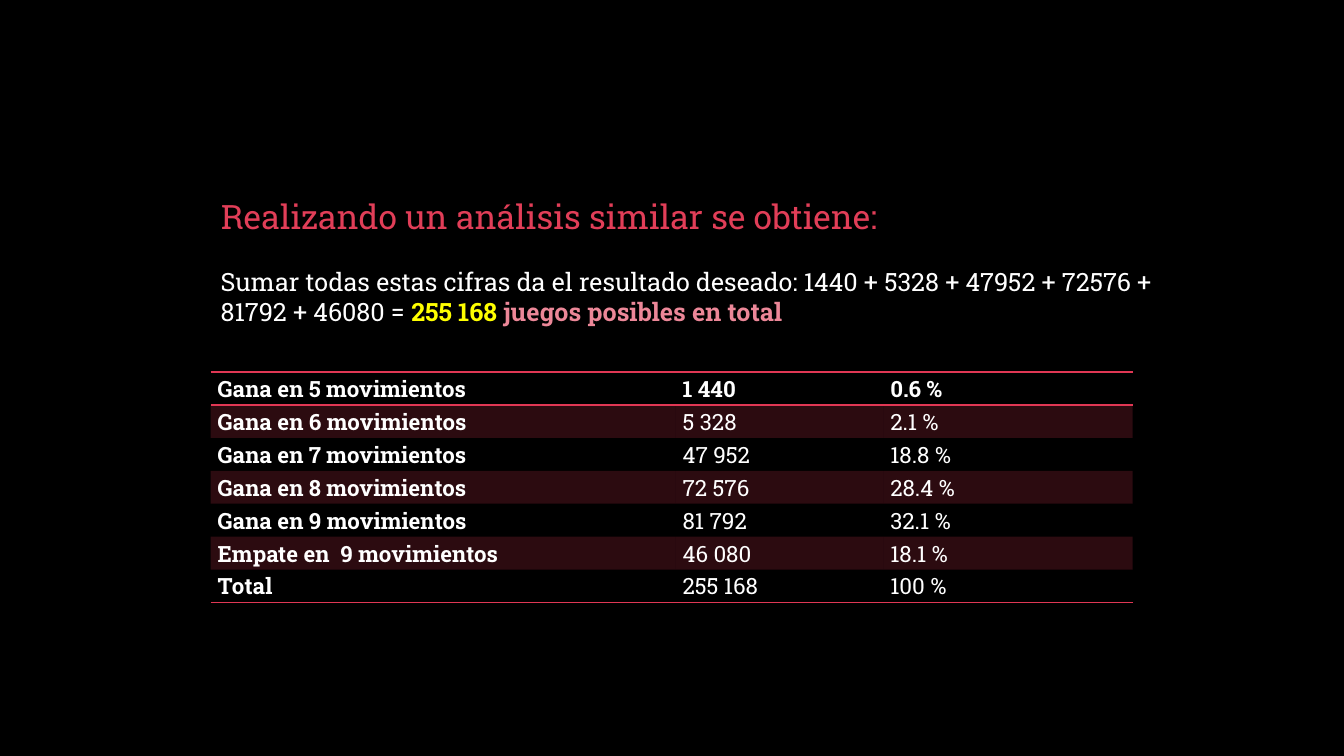
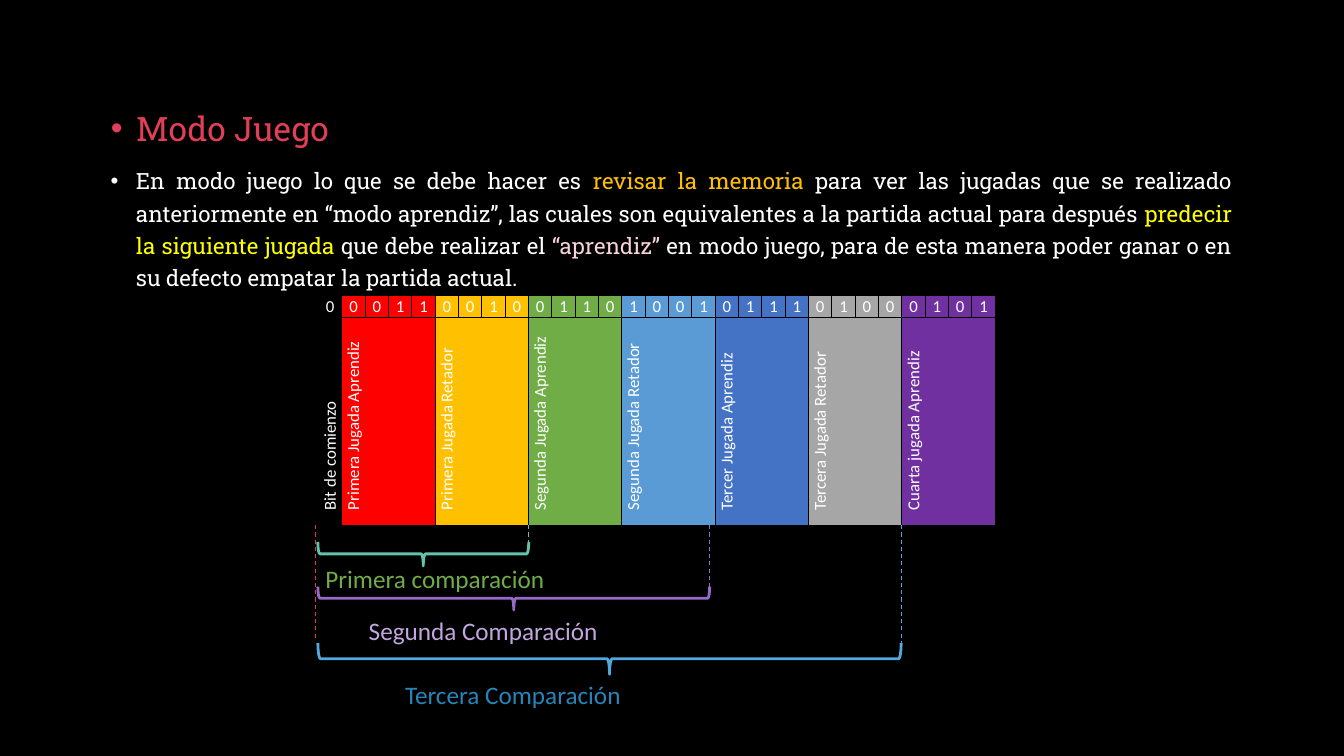
from dataclasses import dataclass

from lxml.etree import SubElement
from pptx import Presentation
from pptx.dml.color import RGBColor
from pptx.enum.dml import MSO_LINE
from pptx.enum.shapes import MSO_CONNECTOR, MSO_SHAPE
from pptx.enum.text import MSO_ANCHOR, MSO_AUTO_SIZE, PP_ALIGN
from pptx.oxml import parse_xml
from pptx.oxml.ns import nsdecls, qn
from pptx.util import Emu, Inches, Pt


@dataclass(frozen=True)
class Theme:
    background: str = "000000"
    text: str = "FFFFFF"
    title: str = "E13E58"
    accent: str = "E03754"
    pink: str = "EC8798"
    pale_pink: str = "F8D3D9"
    yellow: str = "FFFF00"
    amber: str = "FFC000"
    green: str = "70AD47"
    teal: str = "60C4AA"
    purple: str = "976AC9"
    lilac: str = "C1A6DF"
    sky: str = "51A9DB"
    blue: str = "2785BA"
    slab: str = "Roboto Slab"
    sans: str = "Calibri"
    title_size: int = 24
    large: int = 18
    medium: int = 16
    small: int = 12


theme = Theme()
NO_TABLE_STYLE = "{2D5ABB26-0587-4C30-8999-92F81FD0307C}"

presentation = Presentation()
presentation.slide_width = Inches(40 / 3)
presentation.slide_height = Inches(7.5)
background = presentation.slide_master.background.fill
background.solid()
background.fore_color.rgb = RGBColor.from_string(theme.background)


def place(left, top, width, height):
    """Turn percentages of the slide's width and height into lengths."""
    wide, high = presentation.slide_width / 100, presentation.slide_height / 100
    return [Emu(round(share * unit)) for share, unit in
            zip((left, top, width, height), (wide, high, wide, high))]


def add_runs(paragraph, runs, size, font):
    """Add (text, colour, bold) runs to a paragraph."""
    for text, color, bold in runs:
        run = paragraph.add_run()
        run.text = text
        run.font.name = font
        run.font.size = Pt(size)
        run.font.bold = bold
        run.font.color.rgb = RGBColor.from_string(color)


# Titles and body texts: title, title box, body box, body size, line spacing, bulleted, runs
pages = [
    ("Realizando un análisis similar se obtiene:",
     (15.68, 25.2, 71.33, 6.67), (15.68, 34.53, 71.33, 9.33), theme.large, 1.0, False,
     [("Sumar todas estas cifras da el resultado deseado: "
       "1440 + 5328 + 47952 + 72576 + 81792 + 46080 = ", theme.text, False),
      ("255 168 ", theme.yellow, True),
      ("juegos posibles en total", theme.pink, True)]),
    ("Modo Juego",
     (7.5, 12.53, 84.9, 8), (7.5, 20.8, 84.9, 18.67), theme.medium, 1.2, True,
     [("En modo juego lo que se debe hacer es ", theme.text, False),
      ("revisar la memoria ", theme.amber, False),
      ("para ver las jugadas que se realizado anteriormente en “modo aprendiz”, las cuales "
       "son equivalentes a la partida actual para después ", theme.text, False),
      ("predecir la siguiente jugada ", theme.yellow, False),
      ("que debe realizar el ", theme.text, False),
      ("“aprendiz” ", theme.pale_pink, False),
      ("en modo juego, para de esta manera poder ganar o en su defecto empatar "
       "la partida actual.", theme.text, False)]),
]
slides = []
for title, title_box, body_box, body_size, line_spacing, bulleted, body_runs in pages:
    slide = presentation.slides.add_slide(presentation.slide_layouts[5])
    slides.append(slide)
    heading = slide.shapes.title
    heading.left, heading.top, heading.width, heading.height = place(*title_box)
    body = slide.shapes.add_textbox(*place(*body_box))
    for shape, runs, size in ((heading, [(title, theme.title, False)], theme.title_size),
                              (body, body_runs, body_size)):
        frame = shape.text_frame
        frame.word_wrap = True
        frame.auto_size = MSO_AUTO_SIZE.NONE
        frame.vertical_anchor = MSO_ANCHOR.TOP
        paragraph = frame.paragraphs[0]
        justified = bulleted and shape is body
        paragraph.alignment = PP_ALIGN.JUSTIFY if justified else PP_ALIGN.LEFT
        paragraph.line_spacing = line_spacing
        paragraph.space_before = Pt(0)
        if bulleted:
            properties = paragraph._p.get_or_add_pPr()
            properties.set("marL", str(Inches(0.25)))
            properties.set("indent", str(-Inches(0.25)))
            SubElement(properties, qn("a:buFont")).set("typeface", "Arial")
            SubElement(properties, qn("a:buChar")).set("char", "•")
        add_runs(paragraph, runs, size, theme.slab)
results_slide, game_slide = slides

# Results by number of moves
results = [
    ("Gana en 5 movimientos", "1 440", "0.6 %"),
    ("Gana en 6 movimientos", "5 328", "2.1 %"),
    ("Gana en 7 movimientos", "47 952", "18.8 %"),
    ("Gana en 8 movimientos", "72 576", "28.4 %"),
    ("Gana en 9 movimientos", "81 792", "32.1 %"),
    ("Empate en  9 movimientos", "46 080", "18.1 %"),
    ("Total", "255 168", "100 %"),
]
results_frame = results_slide.shapes.add_table(
    len(results), 3, *place(15.68, 49.2, 64.05, 30.53))
results_table = results_frame.table
for column, share in zip(results_table.columns, (0.54, 0.2, 0.26)):
    column.width = round(results_frame.width * share)

# Cells of both tables: cell, text, bold, size, font, fill, opacity, border sides, border colour
cells = []
for row, record in enumerate(results):
    sides = {0: "TB", len(results) - 1: "B"}.get(row, "")
    for column, text in enumerate(record):
        cells.append((results_table.cell(row, column), text, row == 0 or column == 0,
                      theme.medium, theme.slab, theme.accent if row % 2 else None, 20,
                      sides, theme.accent))

# Memory word: one start bit, then four bits for each move
moves = [
    ("0011", "Primera Jugada Aprendiz", "FF0000"),
    ("0010", "Primera Jugada Retador", theme.amber),
    ("0110", "Segunda Jugada Aprendiz", theme.green),
    ("1001", "Segunda Jugada Retador", "5B9BD5"),
    ("0111", "Tercer Jugada Aprendiz", "4472C4"),
    ("0100", "Tercera Jugada Retador", "A6A6A6"),
    ("0101", "Cuarta jugada Aprendiz", "7030A0"),
]
fields = [("0", "Bit de comienzo", None)] + moves
bit_count = sum(len(bits) for bits, _, _ in fields)
memory_left, memory_top, memory_width = 23.7, 39.07, 50.4
bit_height, label_height = 2.93, 27.47
memory_bottom = memory_top + bit_height + label_height
memory_frame = game_slide.shapes.add_table(
    2, bit_count, *place(memory_left, memory_top, memory_width, bit_height + label_height))
memory_table = memory_frame.table
for column in memory_table.columns:
    column.width = round(memory_frame.width / bit_count)
for row, share in zip(memory_table.rows, (bit_height, label_height)):
    row.height = place(0, share, 0, 0)[1]

memory_style = (False, theme.small, theme.sans)
first = 0
for bits, label, color in fields:
    border = (color, 100, "LRTB", theme.background)
    for offset, bit in enumerate(bits):
        cells.append((memory_table.cell(0, first + offset), bit, *memory_style, *border))
    last = first + len(bits) - 1
    label_cell = memory_table.cell(1, first)
    if last > first:
        label_cell.merge(memory_table.cell(1, last))
    cells.append((label_cell, label, *memory_style, *border))
    label_cell._tc.get_or_add_tcPr().set("vert", "vert270")
    label_cell.text_frame.paragraphs[0]._p.get_or_add_pPr().set("marL", str(Inches(0.08)))
    first = last + 1

for frame in (results_frame, memory_frame):
    frame.table.first_row = frame.table.horz_banding = False
    for style in frame._element.iter(qn("a:tableStyleId")):
        style.text = NO_TABLE_STYLE

for cell, text, bold, size, font, color, opacity, sides, border_color in cells:
    cell.margin_left = cell.margin_right = Inches(0.07)
    cell.margin_top = cell.margin_bottom = 0
    if font == theme.sans:
        cell.vertical_anchor = MSO_ANCHOR.MIDDLE
    paragraph = cell.text_frame.paragraphs[0]
    paragraph.line_spacing = 1.07
    if len(text) == 1:
        paragraph.alignment = PP_ALIGN.CENTER
    add_runs(paragraph, [(text, theme.text, bold)], size, font)
    properties = cell._tc.get_or_add_tcPr()
    if color:
        cell.fill.solid()
        cell.fill.fore_color.rgb = RGBColor.from_string(color)
        if opacity < 100:
            fill_color = properties.find(".//" + qn("a:srgbClr"))
            SubElement(fill_color, qn("a:alpha")).set("val", str(opacity * 1000))
    else:
        cell.fill.background()
    for position, side in enumerate(sides):
        properties.insert(position, parse_xml(
            f'<a:ln{side} {nsdecls("a")} w="{Pt(1)}"><a:solidFill>'
            f'<a:srgbClr val="{border_color}"/></a:solidFill></a:ln{side}>'))

# Comparisons: text, text colour, line colour, text left and top, brace right, top and depth
comparisons = [
    ("Primera comparación", theme.green, theme.teal, 23.48, 73.87, 39.34, 71.67, 3.2),
    ("Segunda Comparación", theme.lilac, theme.purple, 26.7, 80.67, 52.8, 77.6, 3.07),
    ("Tercera Comparación", theme.blue, theme.sky, 29.4, 89.2, 67.05, 85.07, 4.13),
]
brace_left = 23.65
guides = [(23.48, 84.4, theme.accent)]
for text, text_color, line_color, left, top, brace_right, brace_top, depth in comparisons:
    x, y, span, thickness = place(brace_left, brace_top, brace_right - brace_left, depth)
    # A quarter turn swaps the sides around the centre
    brace = game_slide.shapes.add_shape(
        MSO_SHAPE.RIGHT_BRACE, x + (span - thickness) // 2, y + (thickness - span) // 2,
        thickness, span)
    brace.rotation = 90
    brace.shadow.inherit = False
    brace.fill.background()
    brace.line.color.rgb = RGBColor.from_string(line_color)
    brace.line.width = Pt(2)
    caption = game_slide.shapes.add_textbox(*place(left, top, 21, 5.33))
    caption.text_frame.word_wrap = True
    add_runs(caption.text_frame.paragraphs[0], [(text, text_color, False)],
             theme.large, theme.sans)
    guides.append((brace_right, brace_top, line_color))

for x, end, color in guides:
    guide = game_slide.shapes.add_connector(
        MSO_CONNECTOR.STRAIGHT, *place(x, memory_bottom, x, end))
    guide.line.color.rgb = RGBColor.from_string(color)
    guide.line.width = Pt(0.75)
    guide.line.dash_style = MSO_LINE.DASH
    SubElement(guide._element.spPr, qn("a:effectLst"))

presentation.save("out.pptx")
